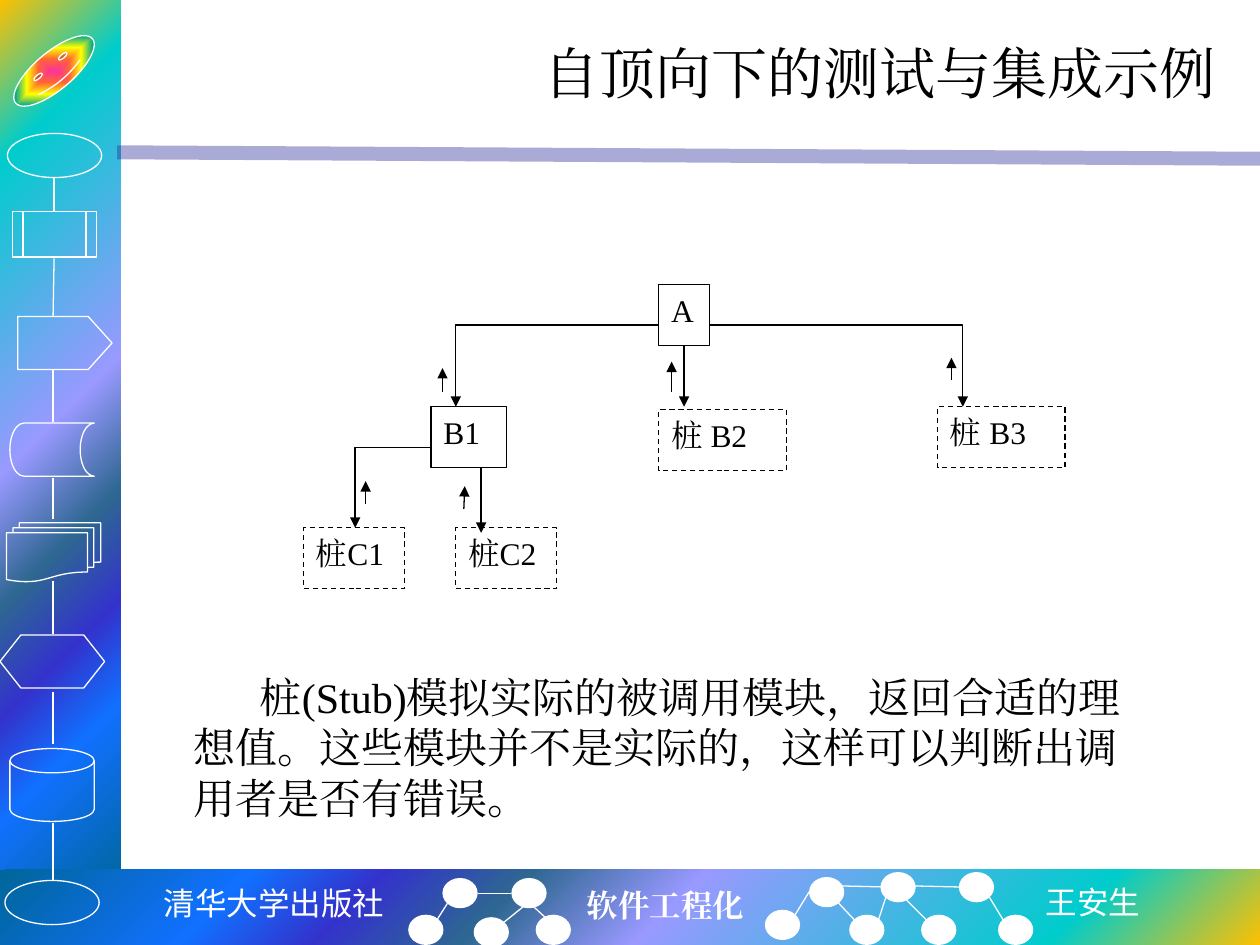
from dataclasses import dataclass

from lxml import etree
from pptx import Presentation
from pptx.dml.color import RGBColor
from pptx.enum.dml import MSO_LINE
from pptx.enum.shapes import MSO_CONNECTOR, MSO_SHAPE
from pptx.enum.text import MSO_ANCHOR, MSO_AUTO_SIZE, PP_ALIGN
from pptx.oxml import parse_xml
from pptx.oxml.ns import nsdecls, qn
from pptx.util import Cm, Pt

DASH = MSO_LINE.DASH
STRAIGHT = MSO_CONNECTOR.STRAIGHT
RECT, OVAL = MSO_SHAPE.RECTANGLE, MSO_SHAPE.OVAL
LEFT, CENTER, RIGHT = PP_ALIGN.LEFT, PP_ALIGN.CENTER, PP_ALIGN.RIGHT
TOP, MIDDLE = MSO_ANCHOR.TOP, MSO_ANCHOR.MIDDLE
BOTTOM_SIDE = 2


@dataclass(frozen=True)
class Theme:
    ink: str = "000000"
    white: str = "FFFFFF"
    rule: str = "262699"
    ocean: tuple = ((0, "FFC000"), (16, "00CCCC"), (47, "9999FF"), (60, "2E6792"),
                    (71, "3333CC"), (81, "1170FF"), (100, "006699"))
    rainbow: tuple = ((0, "FF3399"), (25, "FF6633"), (50, "FFFF00"),
                      (75, "01A78F"), (100, "3366FF"))
    serif: str = "Times New Roman"
    mono: str = "Noto Sans Mono"
    sans: str = "Noto Sans CJK SC"
    title_size: int = 32
    note_size: int = 24
    label_size: int = 18
    hairline: float = 0.75


theme = Theme()
prs = Presentation()
prs.slide_width, prs.slide_height = Cm(25.4), Cm(19.05)
slide = prs.slides.add_slide(prs.slide_layouts[5])
shapes = slide.shapes


def add_figure(kind, box, fill=None, line=None):
    figure = shapes.add_shape(kind, *map(Cm, box))
    figure.shadow.inherit = False
    if fill:
        figure.fill.solid()
        figure.fill.fore_color.rgb = RGBColor.from_string(fill)
    else:
        figure.fill.background()
    if line:
        figure.line.color.rgb = RGBColor.from_string(line)
        figure.line.width = Pt(theme.hairline)
    else:
        figure.line.fill.background()
    return figure


def add_path(points, color, width=theme.hairline, arrow=False):
    corners = [(Cm(x), Cm(y)) for x, y in points]
    if len(corners) == 2:
        path = shapes.add_connector(STRAIGHT, *corners[0], *corners[1])
        etree.SubElement(path._element.spPr, qn("a:effectLst"))
    else:
        builder = shapes.build_freeform(*corners[0])
        builder.add_line_segments(corners[1:], close=False)
        path = builder.convert_to_shape()
        path.shadow.inherit = False
        path.fill.background()
    path.line.color.rgb = RGBColor.from_string(color)
    path.line.width = Pt(width)
    if arrow:
        etree.SubElement(path.line._get_or_add_ln(), qn("a:tailEnd"), type="triangle")
    return path


sidebar = add_figure(RECT, (0, 0, 2.44, 18.01))
footer = add_figure(RECT, (0, 17.53, 25.4, 1.52))
face = add_figure(MSO_SHAPE.SMILEY_FACE, (0.08, 1.05, 2.02, 0.76), line=theme.white)
face.rotation = 320
face.adjustments[0] = 0.047
for figure, colors, route, focus in (
    (sidebar, theme.ocean, "circle", 'r="100000" b="100000"'),
    (footer, theme.ocean, "circle", 'l="100000" t="100000"'),
    (face, theme.rainbow, "shape", 'l="50000" t="50000" r="50000" b="50000"'),
):
    stops = "".join(f'<a:gs pos="{place * 1000}"><a:srgbClr val="{color}"/></a:gs>'
                    for place, color in colors)
    properties = figure._element.spPr
    properties.replace(properties.find(qn("a:noFill")), parse_xml(
        f'<a:gradFill {nsdecls("a")} rotWithShape="1"><a:gsLst>{stops}</a:gsLst>'
        f'<a:path path="{route}"><a:fillToRect {focus}/></a:path></a:gradFill>'))

title_rule = add_path([(2.36, 3.07), (25.4, 3.2)], theme.rule, 8)
rule_color = title_rule._element.spPr.find(".//" + qn("a:srgbClr"))
etree.SubElement(rule_color, qn("a:alpha"), val="39000")

for kind, box in (
    (OVAL, (0.15, 2.69, 1.9, 0.89)),
    (MSO_SHAPE.FLOWCHART_PREDEFINED_PROCESS, (0.25, 4.27, 1.7, 0.91)),
    (MSO_SHAPE.PENTAGON, (0.36, 6.38, 1.9, 1.07)),
    (MSO_SHAPE.FLOWCHART_STORED_DATA, (0.2, 8.53, 1.7, 1.07)),
    (MSO_SHAPE.FLOWCHART_MULTIDOCUMENT, (0.13, 10.54, 1.9, 1.19)),
    (MSO_SHAPE.FLOWCHART_PREPARATION, (0, 12.8, 2.11, 1.07)),
    (MSO_SHAPE.FLOWCHART_MAGNETIC_DISK, (0.2, 15.09, 1.7, 1.47)),
    (OVAL, (0.1, 17.75, 1.9, 0.89)),
):
    symbol = add_figure(kind, box, line=theme.white)
    if kind == MSO_SHAPE.PENTAGON:
        symbol.adjustments[0] = 0.45
for x1, y1, x2, y2 in (
    (1.09, 3.56, 1.09, 4.27), (1.09, 5.21, 1.07, 6.38), (1.07, 7.44, 1.07, 8.51),
    (1.07, 9.63, 1.07, 10.46), (1.07, 11.71, 1.07, 12.78),
    (1.07, 13.94, 1.07, 14.99), (1.07, 16.59, 1.07, 17.75),
    (8.81, 18.54, 9.02, 18.21), (10.16, 18.59, 10.57, 18.26),
    (10.31, 18.01, 9.63, 18.01), (11.02, 18.52, 10.77, 18.29),
    (16.03, 18.44, 16.31, 17.98), (17.22, 18.54, 16.89, 18.19),
    (16.97, 17.86, 17.86, 17.88), (17.7, 18.57, 17.86, 18.08),
    (18.67, 18.54, 18.16, 18.03), (18.44, 17.86, 19.33, 17.88),
    (20.22, 18.54, 19.94, 18.08),
):
    add_path([(x1, y1), (x2, y2)], theme.white)
for x, y in (
    (8.92, 17.7), (10.31, 17.7), (8.23, 18.44), (9.55, 18.49), (10.8, 18.44),
    (16.31, 17.68), (17.75, 17.58), (19.33, 17.58),
    (15.42, 18.34), (17.12, 18.44), (18.57, 18.44), (20.12, 18.44),
):
    add_figure(OVAL, (x, y, 0.71, 0.61), fill=theme.white)

label = dict(size=theme.label_size, name=theme.serif, color=theme.ink, bold=False,
             align=LEFT, anchor=TOP, wrap=True)
credit = label | dict(color=theme.white, wrap=False)
lettering = []

title = shapes.title
title.left, title.top, title.width, title.height = map(Cm, (3.18, 0.43, 21.59, 2.06))
lettering.append((title, "自顶向下的测试与集成示例",
                  label | dict(size=theme.title_size, align=RIGHT, anchor=MIDDLE)))

for text, box, look in (
    ("清华大学出版社", (3.02, 17.7, 5, 1.02), credit | dict(name=theme.mono, align=CENTER)),
    ("软件工程化", (11.58, 17.73, 3.71, 1.02), credit | dict(bold=True)),
    ("王安生", (20.83, 17.68, 2.44, 1.02), credit | dict(name=theme.sans)),
    ("桩(Stub)模拟实际的被调用模块，返回合适的理想值。这些模块并不是实际的，"
     "这样可以判断出调用者是否有错误。",
     (3.66, 13.41, 19.71, 3.33), label | dict(size=theme.note_size)),
):
    caption = shapes.add_textbox(*map(Cm, box))
    caption.text_frame.auto_size = MSO_AUTO_SIZE.SHAPE_TO_FIT_TEXT
    lettering.append((caption, text, look))
note = caption
note.text_frame.paragraphs[0]._p.get_or_add_pPr().set("indent", str(Cm(1.33)))

modules = {}
for text, x, y, width in (
    ("A", 13.28, 5.74, 1.02), ("B1", 8.69, 8.2, 1.52),
    ("桩 B2", 13.28, 8.26, 2.57), ("桩 B3", 18.9, 8.2, 2.57),
    ("桩C1", 6.12, 10.64, 2.03), ("桩C2", 9.19, 10.64, 2.03),
):
    module = add_figure(RECT, (x, y, width, 1.23), line=theme.ink)
    if text.startswith("桩"):
        module.line.dash_style = DASH
    modules[text] = module
    lettering.append((module, text, label))

for points in (
    [(13.28, 6.55), (9.19, 6.55), (9.19, 8.2)],
    [(14.3, 6.55), (19.41, 6.55), (19.41, 8.2)],
    [(8.69, 9.02), (7.16, 9.02), (7.16, 10.64)],
    [(9.7, 9.43), (9.7, 10.74)],
    [(13.54, 7.9), (13.54, 7.29)],
    [(9.35, 10.26), (9.37, 9.8)],
    [(7.37, 10.16), (7.37, 9.7)],
    [(8.92, 7.9), (8.92, 7.42)],
    [(19.18, 7.67), (19.18, 7.21)],
):
    add_path(points, theme.ink, arrow=True)
call_b2 = add_path([(13.79, 6.97), (13.79, 8.2)], theme.ink, arrow=True)
call_b2.begin_connect(modules["A"], BOTTOM_SIDE)

for holder, text, look in lettering:
    frame = holder.text_frame
    frame.word_wrap = look["wrap"]
    frame.vertical_anchor = look["anchor"]
    paragraph = frame.paragraphs[0]
    paragraph.alignment = look["align"]
    run = paragraph.add_run()
    run.text = text
    for attribute, value in (("name", look["name"]), ("size", Pt(look["size"])),
                             ("bold", look["bold"])):
        setattr(run.font, attribute, value)
    run.font.color.rgb = RGBColor.from_string(look["color"])
    etree.SubElement(run._r.get_or_add_rPr(), qn("a:ea"), typeface=look["name"])

prs.save("out.pptx")
